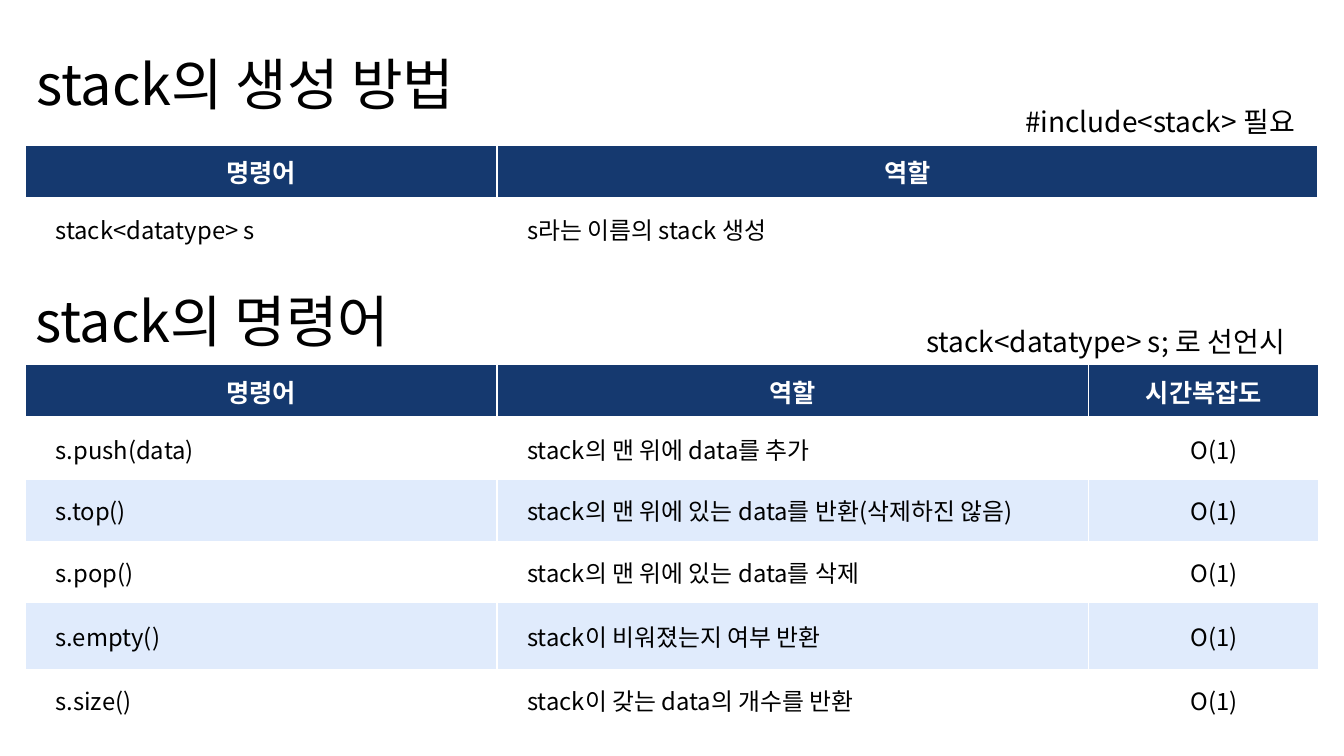
from lxml.etree import SubElement
from pptx import Presentation
from pptx.dml.color import RGBColor as RGB
from pptx.enum.text import MSO_ANCHOR as ANCHOR, PP_ALIGN as ALIGN
from pptx.oxml.ns import qn
from pptx.util import Inches, Pt

THEME = dict(
    font="Noto Sans CJK KR", navy="15396F", band="E0EBFC", white="FFFFFF", black="000000",
    title=40, note=20, header=18, body=17, line=1, header_line=3,
)
LABELS = [
    ("stack의 생성 방법", "title", (0.26, 0.44, 5.99, 0.77)),
    ("#include<stack> 필요", "note", (10.07, 0.99, 3, 0.43)),
    ("stack의 명령어", "title", (0.25, 2.79, 5.99, 0.77)),
    ("stack<datatype> s; 로 선언시", "note", (9.09, 3.17, 3.98, 0.43)),
]
COST = "O(1)"
TABLES = [
    dict(top=1.44, cols=(4.68, 8.14), heights=(0.53, 0.61), rows=[
        ("명령어", "역할"),
        ("stack<datatype> s", "s라는 이름의 stack 생성"),
    ]),
    dict(top=3.62, cols=(4.68, 5.87, 2.28), heights=(0.53, 0.61, 0.61, 0.61, 0.66, 0.61), rows=[
        ("명령어", "역할", "시간복잡도"),
        ("s.push(data)", "stack의 맨 위에 data를 추가", COST),
        ("s.top()", "stack의 맨 위에 있는 data를 반환(삭제하진 않음)", COST),
        ("s.pop()", "stack의 맨 위에 있는 data를 삭제", COST),
        ("s.empty()", "stack이 비워졌는지 여부 반환", COST),
        ("s.size()", "stack이 갖는 data의 개수를 반환", COST),
    ]),
]
TABLE_LEFT, CELL_INDENT = 0.25, 0.2


def write(tf, text, size, color="black", bold=False, align=ALIGN.LEFT):
    p = tf.paragraphs[0]
    p.alignment = align
    r = p.add_run()
    r.text = text
    for name, value in dict(name=THEME["font"], size=Pt(THEME[size]), bold=bold).items():
        setattr(r.font, name, value)
    r.font.color.rgb = RGB.from_string(THEME[color])
    SubElement(r.font._element, qn("a:ea"), typeface=THEME["font"])
    return p


def add_label(s, text, size, box):
    tf = s.shapes.add_textbox(*map(Inches, box)).text_frame
    tf.word_wrap = True
    write(tf, text, size)


def add_borders(cell, is_header):
    tcPr = cell._tc.get_or_add_tcPr()
    for side in "LRTB":
        width = THEME["header_line" if is_header and side == "B" else "line"]
        ln = SubElement(tcPr, qn(f"a:ln{side}"), w=str(Pt(width)))
        fill = SubElement(ln, qn("a:solidFill"))
        SubElement(fill, qn("a:srgbClr"), val=THEME["white"])


def format_cell(cell, text, row, col):
    is_header = row == 0
    cell.vertical_anchor = ANCHOR.MIDDLE
    add_borders(cell, is_header)
    color = "navy" if is_header else "white" if row % 2 else "band"
    cell.fill.solid()
    cell.fill.fore_color.rgb = RGB.from_string(THEME[color])
    if is_header:
        write(cell.text_frame, text, "header", "white", True, ALIGN.CENTER)
    else:
        p = write(cell.text_frame, text, "body", align=ALIGN.CENTER if col == 2 else ALIGN.LEFT)
        p._p.get_or_add_pPr().set("marL", str(Inches(CELL_INDENT)))


def add_command_table(s, top, cols, heights, rows):
    box = map(Inches, (TABLE_LEFT, top, sum(cols), sum(heights)))
    table = s.shapes.add_table(len(rows), len(cols), *box).table
    for column, width in zip(table.columns, cols):
        column.width = Inches(width)
    for i, (height, texts) in enumerate(zip(heights, rows)):
        table.rows[i].height = Inches(height)
        for j, text in enumerate(texts):
            format_cell(table.cell(i, j), text, i, j)


prs = Presentation()
prs.slide_width, prs.slide_height = Inches(13.33), Inches(7.5)
s = prs.slides.add_slide(prs.slide_layouts[6])
for spec in TABLES:
    add_command_table(s, **spec)
for label in LABELS:
    add_label(s, *label)
prs.save("out.pptx")
